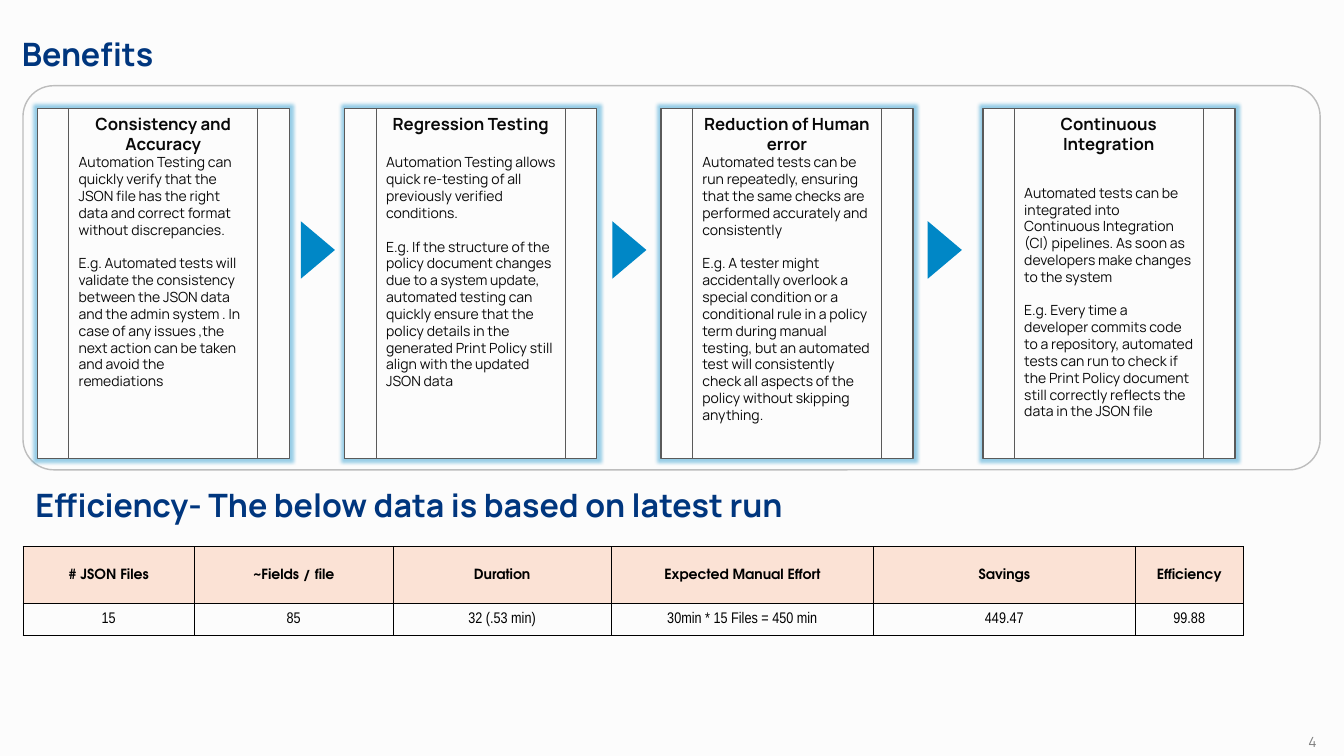
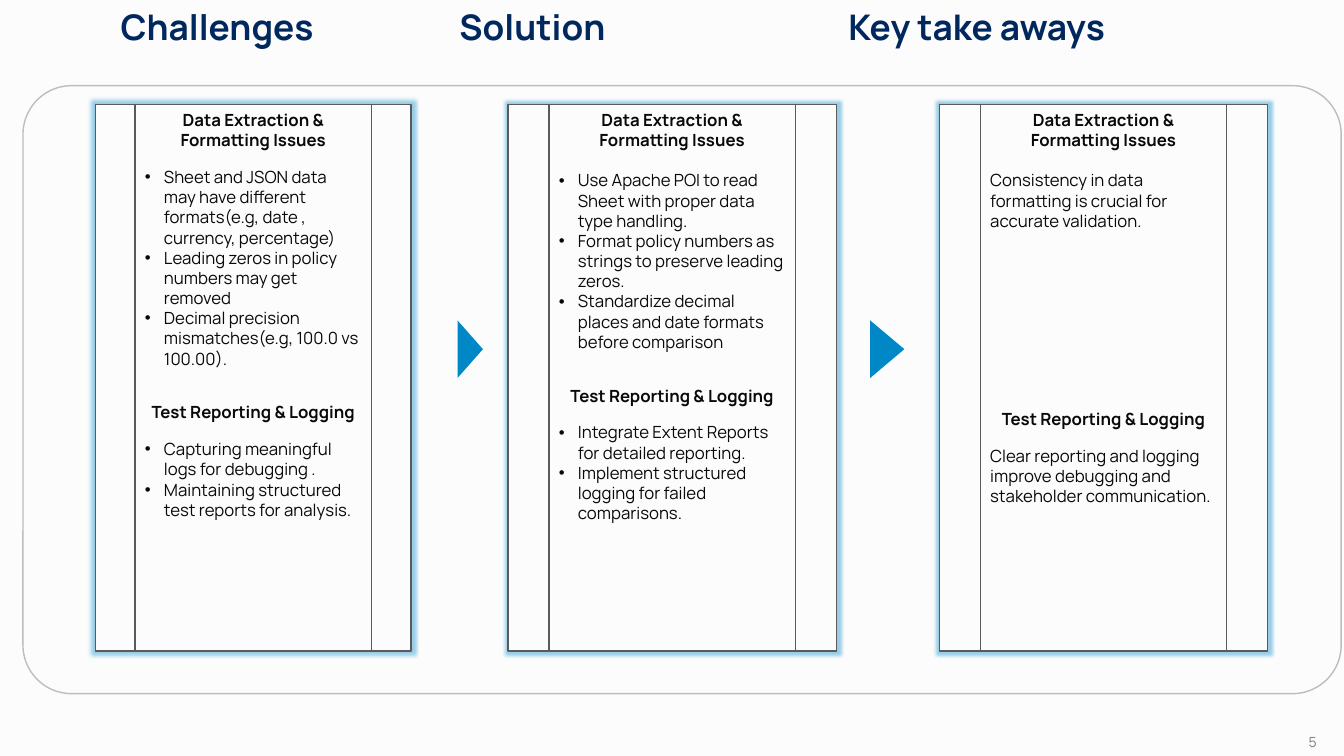
"""Build the benefits slide and the challenges, solution and key take aways slide."""
import pptx
import pptx.dml.color
import pptx.enum.shapes
import pptx.enum.text
import pptx.oxml
import pptx.oxml.ns
import pptx.util

Cm, Pt = pptx.util.Cm, pptx.util.Pt
RGBColor = pptx.dml.color.RGBColor
SHAPE = pptx.enum.shapes.MSO_SHAPE
ALIGN = pptx.enum.text.PP_ALIGN
ANCHOR = pptx.enum.text.MSO_ANCHOR
qn = pptx.oxml.ns.qn

PAPER = RGBColor(0xFC, 0xFC, 0xFC)
INK = RGBColor(0x09, 0x09, 0x09)
BLACK = RGBColor(0, 0, 0)
TITLE_BLUE = RGBColor(0x00, 0x36, 0x7E)
DEEP_BLUE = RGBColor(0x00, 0x28, 0x5E)
ACCENT = RGBColor(0x00, 0x87, 0xC6)
PANEL_LINE = RGBColor(0xBD, 0xBD, 0xBD)
CARD_LINE = RGBColor(0x5A, 0x5A, 0x5A)
NUMBER_GREY = RGBColor(0x7E, 0x7E, 0x7E)
HEADER_FILL = RGBColor(0xFB, 0xE2, 0xD5)

BODY_FONT = "Manrope"
HEADER_FONT = "TeX Gyre Adventor"
CELL_FONT = "Arial Narrow"

HEADING, BODY, BULLET = "heading", "body", "bullet"
ARROW_LENGTH = 1.45

BENEFITS = {
    "number": "4",
    "titles": [
        ("Benefits", 0.3, 0.84, 33.22),
        ("Efficiency- The below data is based on latest run", 0.64, 12.22, 33.22),
    ],
    "title_size": 23,
    "title_color": TITLE_BLUE,
    "panel": (32.69, 9.68),
    "body_size": 10,
    "card_top": 2.74,
    "card_height": 8.81,
    "arrow_middle": 6.3,
    "arrows": [(8.01, 0.86), (15.86, 0.86), (23.81, 0.86)],
    "cards": [
        (0.94, 6.35, [
            (HEADING, "Consistency and Accuracy", 0),
            (BODY, "Automation Testing can quickly verify that the JSON file has the right data "
                   "and correct format without discrepancies.", 0),
            (BODY, "E.g. Automated tests will validate the consistency between the JSON data and "
                   "the admin system . In case of any issues ,the next action can be taken and "
                   "avoid the remediations", 12),
        ]),
        (8.69, 6.35, [
            (HEADING, "Regression Testing", 0),
            (BODY, "Automation Testing allows quick re-testing of all previously verified "
                   "conditions.", 14.4),
            (BODY, "E.g. If the structure of the policy document changes due to a system update, "
                   "automated testing can quickly ensure that the policy details in the generated "
                   "Print Policy still align with the updated JSON data", 12),
        ]),
        (16.66, 6.35, [
            (HEADING, "Reduction of Human error", 0),
            (BODY, "Automated tests can be run repeatedly, ensuring that the same checks are "
                   "performed accurately and consistently", 0),
            (BODY, "E.g. A tester might accidentally overlook a special condition or a "
                   "conditional rule in a policy term during manual testing, but an automated "
                   "test will consistently check all aspects of the policy without skipping "
                   "anything.", 12),
        ]),
        (24.77, 6.35, [
            (HEADING, "Continuous Integration", 0),
            (BODY, "Automated tests can be integrated into Continuous Integration (CI) "
                   "pipelines. As soon as developers make changes to the system", 21.6),
            (BODY, "E.g. Every time a developer commits code to a repository, automated tests "
                   "can run to check if the Print Policy document still correctly reflects the "
                   "data in the JSON file", 12),
        ]),
    ],
}

LESSONS = {
    "number": "5",
    "titles": [
        ("Challenges", 2.79, 0.13, 6.5),
        ("Solution", 11.33, 0.13, 6.5),
        ("Key take aways", 21.13, 0.13, 9),
    ],
    "title_size": 25.2,
    "title_color": DEEP_BLUE,
    "panel": (33.22, 15.32),
    "body_size": 12,
    "card_top": 2.64,
    "card_height": 13.77,
    "arrow_middle": 8.8,
    "arrows": [(11.85, 0.64), (22.36, 0.86)],
    "cards": [
        (2.41, 7.95, [
            (HEADING, "Data Extraction & Formatting Issues", 0),
            (BULLET, "Sheet and JSON data may have different formats(e.g, date , currency, "
                     "percentage)", 12),
            (BULLET, "Leading zeros in policy numbers may get removed", 0),
            (BULLET, "Decimal precision mismatches(e.g, 100.0 vs 100.00).", 0),
            (HEADING, "Test Reporting & Logging", 24),
            (BULLET, "Capturing meaningful logs for debugging .", 12),
            (BULLET, "Maintaining structured test reports for analysis.", 0),
        ]),
        (12.8, 8.28, [
            (HEADING, "Data Extraction & Formatting Issues", 0),
            (BULLET, "Use Apache POI to read Sheet with proper data type handling.", 14.4),
            (BULLET, "Format policy numbers as strings to preserve leading zeros.", 0),
            (BULLET, "Standardize decimal places and date formats before comparison", 0),
            (HEADING, "Test Reporting & Logging", 24),
            (BULLET, "Integrate Extent Reports for detailed reporting.", 12),
            (BULLET, "Implement structured logging for failed comparisons.", 0),
        ]),
        (23.67, 8.28, [
            (HEADING, "Data Extraction & Formatting Issues", 0),
            (BODY, "Consistency in data formatting is crucial for accurate validation.", 14.4),
            (HEADING, "Test Reporting & Logging", 127.2),
            (BODY, "Clear reporting and logging improve debugging and stakeholder "
                   "communication.", 12),
        ]),
    ],
}

RUN_COLUMNS = [4.32, 5, 5.51, 6.6, 6.6, 2.72]
RUN_HEIGHTS = [1.42, 0.81]
RUN_ROWS = [
    ["# JSON Files", "~Fields / file", "Duration", "Expected Manual Effort", "Savings",
     "Efficiency"],
    ["15", "85", "32 (.53 min)", "30min * 15 Files = 450 min", "449.47", "99.88"],
]


def format_runs(paragraph, size, color, bold=False, name=BODY_FONT):
    for run in paragraph.runs:
        run.font.size = Pt(size)
        run.font.name = name
        run.font.bold = bold
        run.font.color.rgb = color


def add_label(slide, text, box, size, color, bold=False):
    shape = slide.shapes.add_textbox(*map(Cm, box))
    frame = shape.text_frame
    frame.word_wrap = True
    frame.text = text
    format_runs(frame.paragraphs[0], size, color, bold)
    return frame


def add_figure(slide, kind, box, fill=None, line=None):
    shape = slide.shapes.add_shape(kind, *map(Cm, box))
    shape.shadow.inherit = False
    if fill is None:
        shape.fill.background()
    else:
        shape.fill.solid()
        shape.fill.fore_color.rgb = fill
    if line is None:
        shape.line.fill.background()
    else:
        shape.line.color.rgb = line
        shape.line.width = Pt(1)
    return shape


def add_glow(shape):
    effects = shape._element.spPr.find(qn("a:effectLst"))
    effects.append(pptx.oxml.parse_xml(
        f'<a:glow {pptx.oxml.ns.nsdecls("a")} rad="63500"><a:srgbClr val="{ACCENT}">'
        '<a:alpha val="40000"/></a:srgbClr></a:glow>'))


def add_bullet(paragraph):
    properties = paragraph._p.get_or_add_pPr()
    properties.set("marL", str(Cm(0.48)))
    properties.set("indent", str(-Cm(0.48)))
    for tag, key, value in (("a:buFont", "typeface", "Arial"), ("a:buChar", "char", "•")):
        properties.append(properties.makeelement(qn(tag), {key: value}))


def add_card(slide, box, content, body_size):
    card = add_figure(slide, SHAPE.FLOWCHART_PREDEFINED_PROCESS, box, PAPER, CARD_LINE)
    add_glow(card)
    frame = card.text_frame
    frame.word_wrap = True
    frame.vertical_anchor = ANCHOR.TOP
    frame.text = "\n".join(text for _, text, _ in content)
    for paragraph, (style, _, gap) in zip(frame.paragraphs, content):
        heading = style == HEADING
        if style == BULLET:
            add_bullet(paragraph)
        paragraph.alignment = ALIGN.CENTER if heading else ALIGN.LEFT
        if gap:
            paragraph.space_before = Pt(gap)
        format_runs(paragraph, 12 if heading else body_size, INK, heading)


def add_arrow(slide, center, middle, depth):
    box = (center - ARROW_LENGTH / 2, middle - depth / 2, ARROW_LENGTH, depth)
    arrow = add_figure(slide, SHAPE.ISOSCELES_TRIANGLE, box, ACCENT)
    arrow.rotation = 90


def add_borders(cell):
    properties = cell._tc.get_or_add_tcPr()
    for index, side in enumerate("LRTB"):
        properties.insert(index, pptx.oxml.parse_xml(
            f'<a:ln{side} {pptx.oxml.ns.nsdecls("a")} w="{Pt(0.5)}"><a:solidFill>'
            f'<a:srgbClr val="{BLACK}"/></a:solidFill></a:ln{side}>'))


def add_run_table(slide):
    box = (0.58, 13.77, sum(RUN_COLUMNS), sum(RUN_HEIGHTS))
    table = slide.shapes.add_table(len(RUN_ROWS), len(RUN_COLUMNS), *map(Cm, box)).table
    table.horz_banding = False
    for column, width in zip(table.columns, RUN_COLUMNS):
        column.width = Cm(width)
    for index, (row, height, texts) in enumerate(zip(table.rows, RUN_HEIGHTS, RUN_ROWS)):
        row.height = Cm(height)
        header = index == 0
        for cell, text in zip(row.cells, texts):
            cell.margin_left = cell.margin_right = cell.margin_top = Cm(0.03)
            cell.margin_bottom = 0
            cell.vertical_anchor = ANCHOR.MIDDLE
            if header:
                cell.fill.solid()
                cell.fill.fore_color.rgb = HEADER_FILL
            else:
                cell.fill.background()
            add_borders(cell)
            cell.text_frame.text = text
            paragraph = cell.text_frame.paragraphs[0]
            paragraph.alignment = ALIGN.CENTER
            format_runs(paragraph, 10 if header else 11, BLACK, header,
                        HEADER_FONT if header else CELL_FONT)


def add_content_slide(presentation, content):
    slide = presentation.slides.add_slide(presentation.slide_layouts[6])
    slide.background.fill.solid()
    slide.background.fill.fore_color.rgb = PAPER
    panel = add_figure(slide, SHAPE.ROUNDED_RECTANGLE, (0.58, 2.16, *content["panel"]),
                       line=PANEL_LINE)
    panel.adjustments[0] = 0.08
    for text, left, top, width in content["titles"]:
        frame = add_label(slide, text, (left, top, width, 1.32), content["title_size"],
                          content["title_color"], True)
        frame.paragraphs[0].line_spacing = 0.9
    for left, width, paragraphs in content["cards"]:
        box = (left, content["card_top"], width, content["card_height"])
        add_card(slide, box, paragraphs, content["body_size"])
    for center, depth in content["arrows"]:
        add_arrow(slide, center, content["arrow_middle"], depth)
    number = add_label(slide, content["number"], (32.49, 18.36, 0.94, 0.69), 10, NUMBER_GREY)
    number.vertical_anchor = ANCHOR.MIDDLE
    number.paragraphs[0].alignment = ALIGN.RIGHT
    return slide


def main():
    presentation = pptx.Presentation()
    presentation.slide_width = Cm(33.87)
    presentation.slide_height = Cm(19.05)
    add_run_table(add_content_slide(presentation, BENEFITS))
    add_content_slide(presentation, LESSONS)
    presentation.save("out.pptx")


if __name__ == "__main__":
    main()
